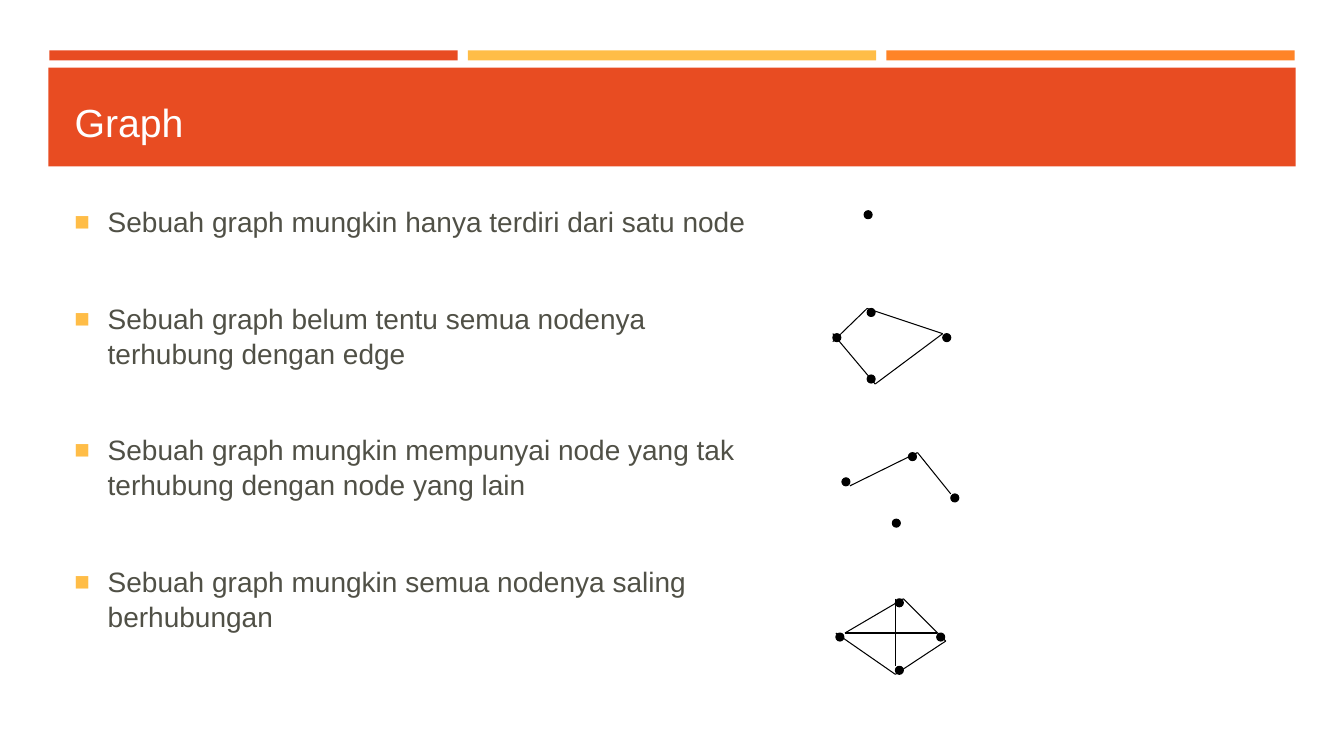
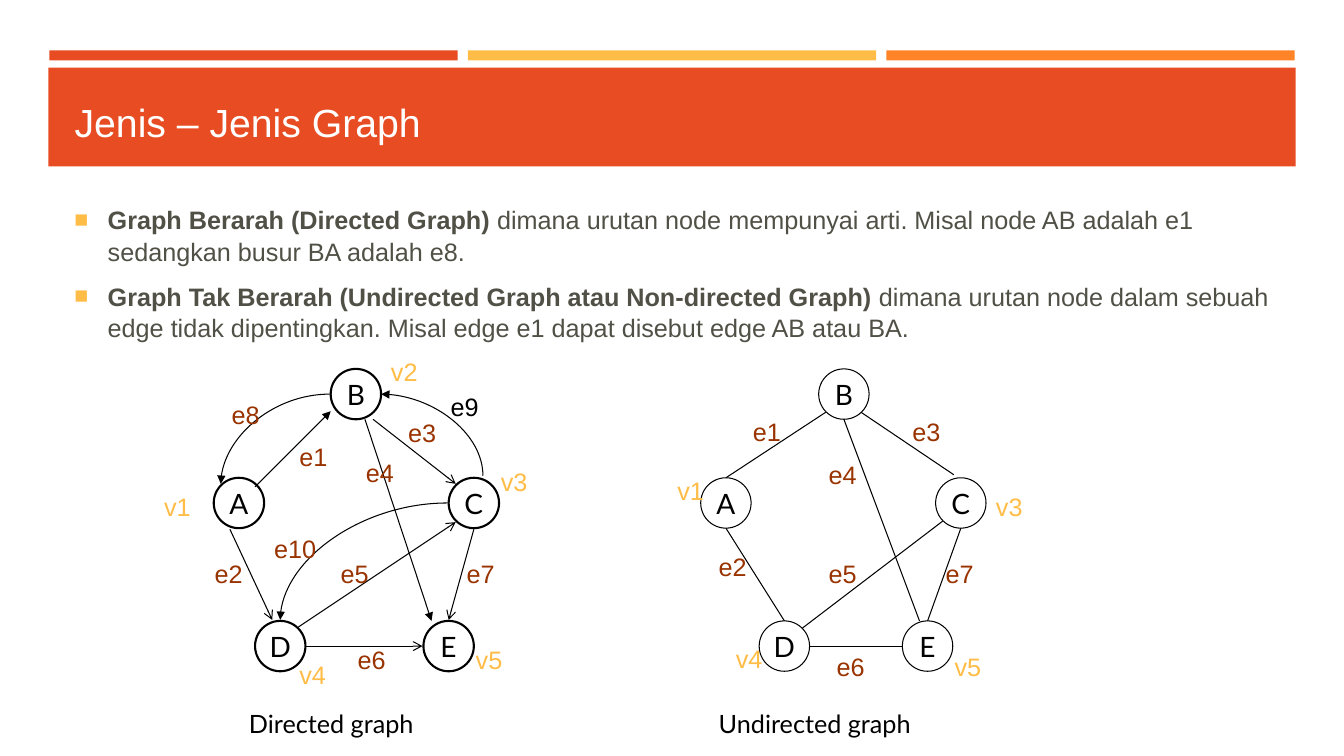
from dataclasses import dataclass

from lxml import etree
from pptx import Presentation
from pptx.dml.color import RGBColor
from pptx.enum import shapes, text
from pptx.oxml.ns import qn
from pptx.util import Inches, Pt


@dataclass(frozen=True)
class Theme:
    red: str = "E84C22"
    gold: str = "FFBD47"
    orange: str = "FF8427"
    white: str = "FFFFFF"
    black: str = "000000"
    gray: str = "505046"
    brown: str = "993300"
    sans: str = "Arial"
    round: str = "Lato"
    title: float = 28
    large: float = 20
    small: float = 18
    thin: float = 0.75
    thick: float = 1.5


T = Theme()

DOTS = [
    (8.57, 2.09),
    (8.6, 3.06), (8.26, 3.31), (9.35, 3.31), (8.6, 3.72),
    (9.43, 4.9), (9.01, 4.49), (8.85, 5.15), (8.35, 4.74),
    (9.29, 6.28), (8.88, 5.94), (8.88, 6.61), (8.29, 6.28),
]
# Each chain is drawn as a run of joined lines.
CHAINS = [
    [(8.26, 3.31), (8.68, 3.81), (9.35, 3.31), (8.6, 3.06), (8.26, 3.39)],
    [(8.43, 4.82), (9.1, 4.49), (9.43, 4.9)],
    [(8.88, 5.94), (8.88, 6.61)],
    [(9.29, 6.28), (8.38, 6.28), (8.96, 5.94), (9.38, 6.36),
     (8.88, 6.69), (8.29, 6.28)],
]

DIRECTED = {
    "nodes": {"B": (3.28, 3.66), "A": (2.12, 4.74), "C": (4.45, 4.74),
              "D": (2.53, 6.16), "E": (4.2, 6.16)},
    "weight": T.thick,
    "edges": [
        ((2.28, 5.25), (2.7, 6.15), "arrow"),
        ((2.96, 6.22), (4.52, 5.18), "arrow"),
        ((3.04, 6.41), (4.19, 6.41), "arrow"),
        ((4.7, 5.25), (4.45, 6.15), "arrow"),
        ((3.7, 4.16), (4.52, 4.8), "arrow"),
        ((2.53, 4.83), (3.28, 4.08), "triangle"),
        ((3.62, 4.16), (4.28, 6.16), "triangle"),
    ],
    "curves": [
        ((3.78, 3.91), (4.79, 4.72), "headEnd"),
        ((3.27, 3.91), (2.19, 4.8), "tailEnd"),
        ((4.44, 4.99), (2.78, 6.15), "tailEnd"),
    ],
    "labels": {
        "v1": (1.53, 4.83), "v2": (3.78, 3.49), "v3": (4.87, 4.58),
        "v4": (2.87, 6.49), "v5": (4.62, 6.34),
        "e1": (2.87, 4.33), "e2": (2.03, 5.49), "e3": (3.95, 4.09),
        "e4": (3.53, 4.49), "e5": (3.28, 5.49), "e6": (3.45, 6.34),
        "e7": (4.53, 5.49), "e8": (2.2, 3.91), "e9": (4.37, 3.83),
        "e10": (2.62, 5.24),
    },
    "caption": ("Directed graph", 2.37),
}

UNDIRECTED = {
    "nodes": {"B": (8.12, 3.66), "A": (6.95, 4.74), "C": (9.28, 4.74),
              "D": (7.53, 6.16), "E": (8.95, 6.16)},
    "weight": T.thin,
    "edges": [
        ((8.19, 4.09), (7.2, 4.74), None),
        ((7.2, 5.24), (7.78, 6.16), None),
        ((7.96, 6.23), (9.35, 5.17), None),
        ((8.03, 6.41), (8.95, 6.41), None),
        ((9.53, 5.24), (9.2, 6.16), None),
        ((8.54, 4.09), (9.46, 4.71), None),
        ((9.12, 6.16), (8.37, 4.16), None),
    ],
    "curves": [],
    "labels": {
        "v1": (6.62, 4.67), "v3": (9.78, 4.83), "v4": (7.2, 6.33),
        "v5": (9.37, 6.41),
        "e1": (7.37, 4.08), "e2": (7.03, 5.42), "e3": (8.95, 4.08),
        "e4": (8.12, 4.51), "e5": (8.12, 5.49), "e6": (8.2, 6.41),
        "e7": (9.28, 5.49),
    },
    "caption": ("Undirected graph", 7.03),
}


def rgb(color):
    return RGBColor.from_string(color)


def style(item, **values):
    for name, value in values.items():
        setattr(item, name, value)


def font(run, size, color, name=T.sans, bold=False):
    style(run.font, size=Pt(size), name=name, bold=bold)
    run.font.color.rgb = rgb(color)


def shape(slide, kind, box, fill=None, line=None, weight=T.thin):
    item = slide.shapes.add_shape(kind, *map(Inches, box))
    item.shadow.inherit = False
    if fill:
        item.fill.solid()
        item.fill.fore_color.rgb = rgb(fill)
    else:
        item.fill.background()
    if line:
        item.line.color.rgb = rgb(line)
        item.line.width = Pt(weight)
    else:
        item.line.fill.background()
    return item


def link(slide, start, end, tip=None, side="tailEnd", curved=False):
    """Draw a line; a curved one leaves level and arrives upright."""
    kind = shapes.MSO_CONNECTOR.CURVE if curved else shapes.MSO_CONNECTOR.STRAIGHT
    line = slide.shapes.add_connector(kind, *map(Inches, start + end))
    line.line.color.rgb = rgb(T.black)
    line.line.width = Pt(T.thin)
    props = line.element.spPr
    if curved:
        props.find(qn("a:prstGeom")).set("prst", "curvedConnector2")
    if tip:
        etree.SubElement(props.find(qn("a:ln")), qn("a:" + side), type=tip)
    etree.SubElement(props, qn("a:effectLst"))


def label(slide, words, at, width=0.5, color=T.brown, name=T.sans):
    box = slide.shapes.add_textbox(*map(Inches, (*at, width, 0.4)))
    box.text_frame.word_wrap = True
    run = box.text_frame.paragraphs[0].add_run()
    run.text = words
    font(run, T.small, color, name)


def bullet(para):
    props = para._p.get_or_add_pPr()
    style_at = Inches(0.33)
    props.set("marL", str(style_at))
    props.set("indent", str(-style_at))
    tint = etree.SubElement(props, qn("a:buClr"))
    etree.SubElement(tint, qn("a:srgbClr"), val=T.gold)
    etree.SubElement(props, qn("a:buSzPct"), val="92000")
    etree.SubElement(props, qn("a:buFont"), typeface=T.sans)
    etree.SubElement(props, qn("a:buChar"), char="■")


def body(slide, items, box, size, gap):
    """Write a bulleted list of (bold lead, plain rest) items."""
    frame = slide.shapes.add_textbox(*map(Inches, box)).text_frame
    frame.word_wrap = True
    for index, parts in enumerate(items):
        para = frame.add_paragraph() if index else frame.paragraphs[0]
        style(para, line_spacing=1.04, space_after=Pt(6),
              space_before=Pt(gap if index else 0))
        bullet(para)
        for words, bold in zip(parts, (True, False)):
            if words:
                run = para.add_run()
                run.text = words
                font(run, size, T.gray, bold=bold)


def bands(slide, layout):
    """Build the bands and hand them to the layout, behind its title."""
    boxes = [((0.49 + 4.15 * i, 0.5, 4.05, 0.1), color)
             for i, color in enumerate((T.red, T.gold, T.orange))]
    boxes.append(((0.48, 0.67, 12.37, 0.98), T.red))
    for index, (box, color) in enumerate(boxes):
        band = shape(slide, shapes.MSO_SHAPE.RECTANGLE, box, color).element
        band.nvSpPr.cNvPr.set("id", str(20 + index))
        layout.shapes.element.insert(2 + index, band)


def page(deck, layout, words):
    slide = deck.slides.add_slide(layout)
    title = slide.shapes.title
    style(title, left=Inches(0.64), top=Inches(0.77),
          width=Inches(12.06), height=Inches(0.88))
    style(title.text_frame, text=words, word_wrap=True,
          vertical_anchor=text.MSO_ANCHOR.MIDDLE)
    para = title.text_frame.paragraphs[0]
    para.alignment = text.PP_ALIGN.LEFT
    font(para.runs[0], T.title, T.white)
    return slide


def node(slide, name, at, weight):
    item = shape(slide, shapes.MSO_SHAPE.OVAL, (*at, 0.5, 0.5),
                 line=T.black, weight=weight)
    frame = item.text_frame
    style(frame, text=name, word_wrap=False,
          vertical_anchor=text.MSO_ANCHOR.MIDDLE)
    para = frame.paragraphs[0]
    para.alignment = text.PP_ALIGN.CENTER
    font(para.runs[0], T.large, T.black, T.round)


def graph(slide, data):
    for name, at in data["nodes"].items():
        node(slide, name, at, data["weight"])
    for start, end, tip in data["edges"]:
        link(slide, start, end, tip)
    for start, end, side in data["curves"]:
        link(slide, start, end, "triangle", side, curved=True)
    for name, at in data["labels"].items():
        color = T.gold if name[0] == "v" else T.brown
        label(slide, name, at, 0.67 if len(name) > 2 else 0.5,
              T.black if name == "e9" else color)
    words, left = data["caption"]
    label(slide, words, (left, 6.98), 2.75, T.black, T.round)


def basics(slide):
    items = [
        "Sebuah graph mungkin hanya terdiri dari satu node",
        "Sebuah graph belum tentu semua nodenya terhubung dengan edge",
        "Sebuah graph mungkin mempunyai node yang tak terhubung dengan node yang lain",
        "Sebuah graph mungkin semua nodenya saling berhubungan",
    ]
    body(slide, [("", item) for item in items],
         (0.64, 1.97, 6.9, 5.22), T.large, 38)
    for at in DOTS:
        shape(slide, shapes.MSO_SHAPE.OVAL, (*at, 0.08, 0.08), T.black, T.black)
    for chain in CHAINS:
        for start, end in zip(chain, chain[1:]):
            link(slide, start, end)


def kinds(slide):
    items = [
        ("Graph Berarah (Directed Graph) ",
         "dimana urutan node mempunyai arti. Misal node AB adalah e1 "
         "sedangkan busur BA adalah e8."),
        ("Graph Tak Berarah (Undirected Graph atau Non-directed Graph) ",
         "dimana urutan node dalam sebuah edge tidak dipentingkan. "
         "Misal edge e1 dapat disebut edge AB atau BA."),
    ]
    body(slide, items, (0.64, 1.97, 12.06, 1.6), T.small, 3.5)
    for data in (DIRECTED, UNDIRECTED):
        graph(slide, data)


def main():
    deck = Presentation()
    style(deck, slide_width=Inches(13.33), slide_height=Inches(7.5))
    layout = deck.slide_layouts.get_by_name("Title Only")
    first = page(deck, layout, "Graph")
    bands(first, layout)
    basics(first)
    kinds(page(deck, layout, "Jenis – Jenis Graph"))
    deck.save("out.pptx")


if __name__ == "__main__":
    main()
